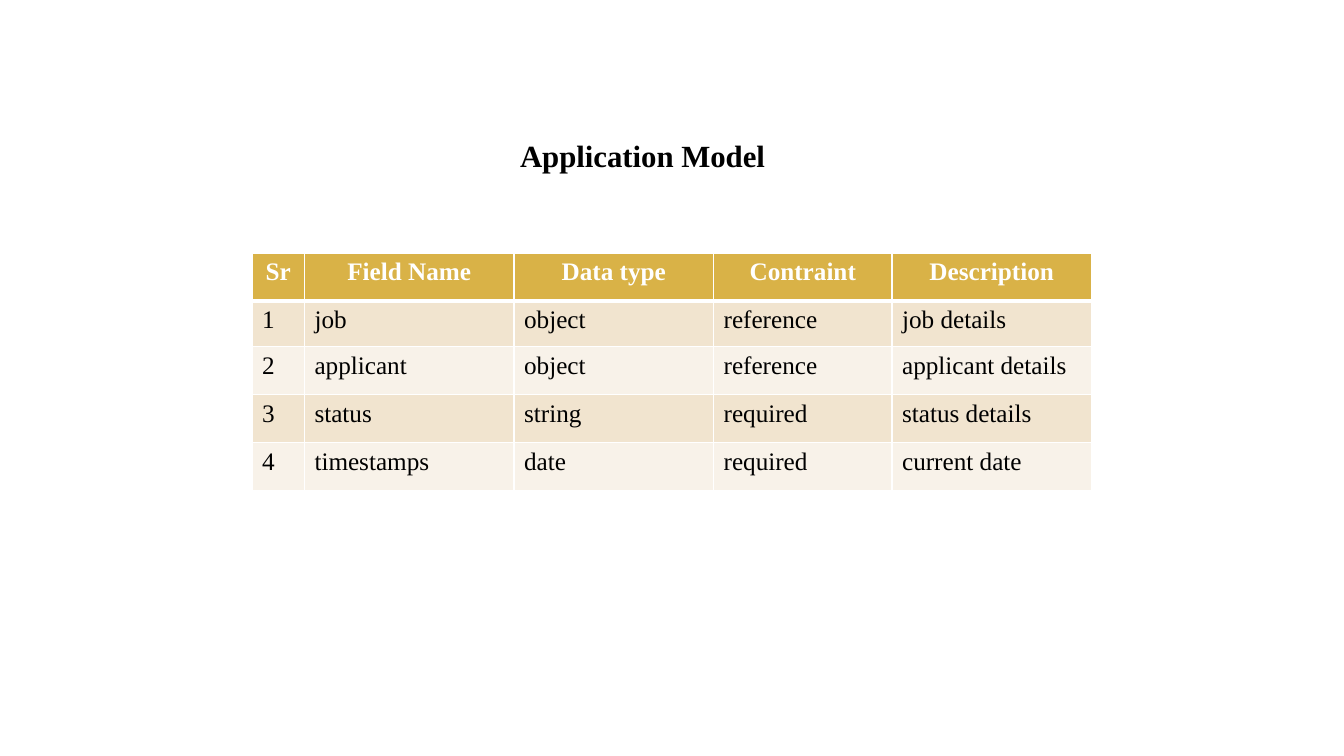
from dataclasses import dataclass

from lxml import etree
from pptx import Presentation
from pptx.dml.color import RGBColor
from pptx.enum import text
from pptx.oxml import ns
from pptx.util import Pt


@dataclass(frozen=True)
class Theme:
    font: str = "Times New Roman"
    title_size: float = 22
    table_size: float = 18
    ink: str = "000000"
    header_ink: str = "FFFFFF"
    header_fill: str = "D9B247"
    bands: tuple = ("F1E4CF", "F8F2E9")
    border: str = "FFFFFF"
    border_width: float = 1
    header_rule: float = 3


THEME = Theme()
TITLE_ONLY_LAYOUT = 5

COLUMN_WIDTHS = (37.5, 149.75, 142.5, 127.5, 142.5)
ROW_HEIGHTS = (34.25, 32.5, 34.25, 34.25, 34.25)
FIELDS = (
    ("Sr", "Field Name", "Data type", "Contraint", "Description"),
    ("1", "job", "object", "reference", "job details"),
    ("2", "applicant", "object", "reference", "applicant details"),
    ("3", "status", "string", "required", "status details"),
    ("4", "timestamps", "date", "required", "current date"),
)


def format_paragraph(paragraph, size, color, bold, alignment):
    paragraph.alignment = alignment
    for run in paragraph.runs:
        run.font.name = THEME.font
        run.font.size = Pt(size)
        run.font.bold = bold
        run.font.color.rgb = RGBColor.from_string(color)


def set_title(slide, wording, left, top, width, height):
    title = slide.shapes.title
    title.left, title.top = Pt(left), Pt(top)
    title.width, title.height = Pt(width), Pt(height)
    frame = title.text_frame
    frame.text = wording
    frame.word_wrap = True
    frame.auto_size = text.MSO_AUTO_SIZE.SHAPE_TO_FIT_TEXT
    frame.vertical_anchor = text.MSO_ANCHOR.TOP
    format_paragraph(frame.paragraphs[0], THEME.title_size, THEME.ink, True,
                     text.PP_ALIGN.LEFT)


def set_borders(cell, top, bottom):
    """Draw all four sides; call before filling, as the schema puts lines first."""
    properties = cell._tc.get_or_add_tcPr()
    sides = {"L": THEME.border_width, "R": THEME.border_width,
             "T": top, "B": bottom}
    for side, width in sides.items():
        line = etree.SubElement(properties, ns.qn(f"a:ln{side}"), w=str(Pt(width)))
        fill = etree.SubElement(line, ns.qn("a:solidFill"))
        etree.SubElement(fill, ns.qn("a:srgbClr"), val=THEME.border)


def format_cell(cell, row):
    is_header = row == 0
    set_borders(
        cell,
        top=THEME.header_rule if row == 1 else THEME.border_width,
        bottom=THEME.header_rule if is_header else THEME.border_width,
    )
    fill = THEME.header_fill if is_header else THEME.bands[(row - 1) % 2]
    cell.fill.solid()
    cell.fill.fore_color.rgb = RGBColor.from_string(fill)
    format_paragraph(
        cell.text_frame.paragraphs[0],
        THEME.table_size,
        THEME.header_ink if is_header else THEME.ink,
        is_header,
        text.PP_ALIGN.CENTER if is_header else text.PP_ALIGN.LEFT,
    )


def add_field_table(slide, left, top):
    table = slide.shapes.add_table(
        len(ROW_HEIGHTS), len(COLUMN_WIDTHS), Pt(left), Pt(top),
        Pt(sum(COLUMN_WIDTHS)), Pt(sum(ROW_HEIGHTS))).table
    for column, width in zip(table.columns, COLUMN_WIDTHS):
        column.width = Pt(width)
    for row, height in zip(table.rows, ROW_HEIGHTS):
        row.height = Pt(height)
    for row, values in enumerate(FIELDS):
        for column, value in enumerate(values):
            cell = table.cell(row, column)
            cell.text_frame.text = value
            format_cell(cell, row)


def main():
    presentation = Presentation()
    presentation.slide_width, presentation.slide_height = Pt(960), Pt(540)
    slide = presentation.slides.add_slide(
        presentation.slide_layouts[TITLE_ONLY_LAYOUT])
    set_title(slide, "Application Model", left=364.25, top=93.75,
              width=196.5, height=33.75)
    add_field_table(slide, left=180, top=181)
    presentation.save("out.pptx")


if __name__ == "__main__":
    main()
